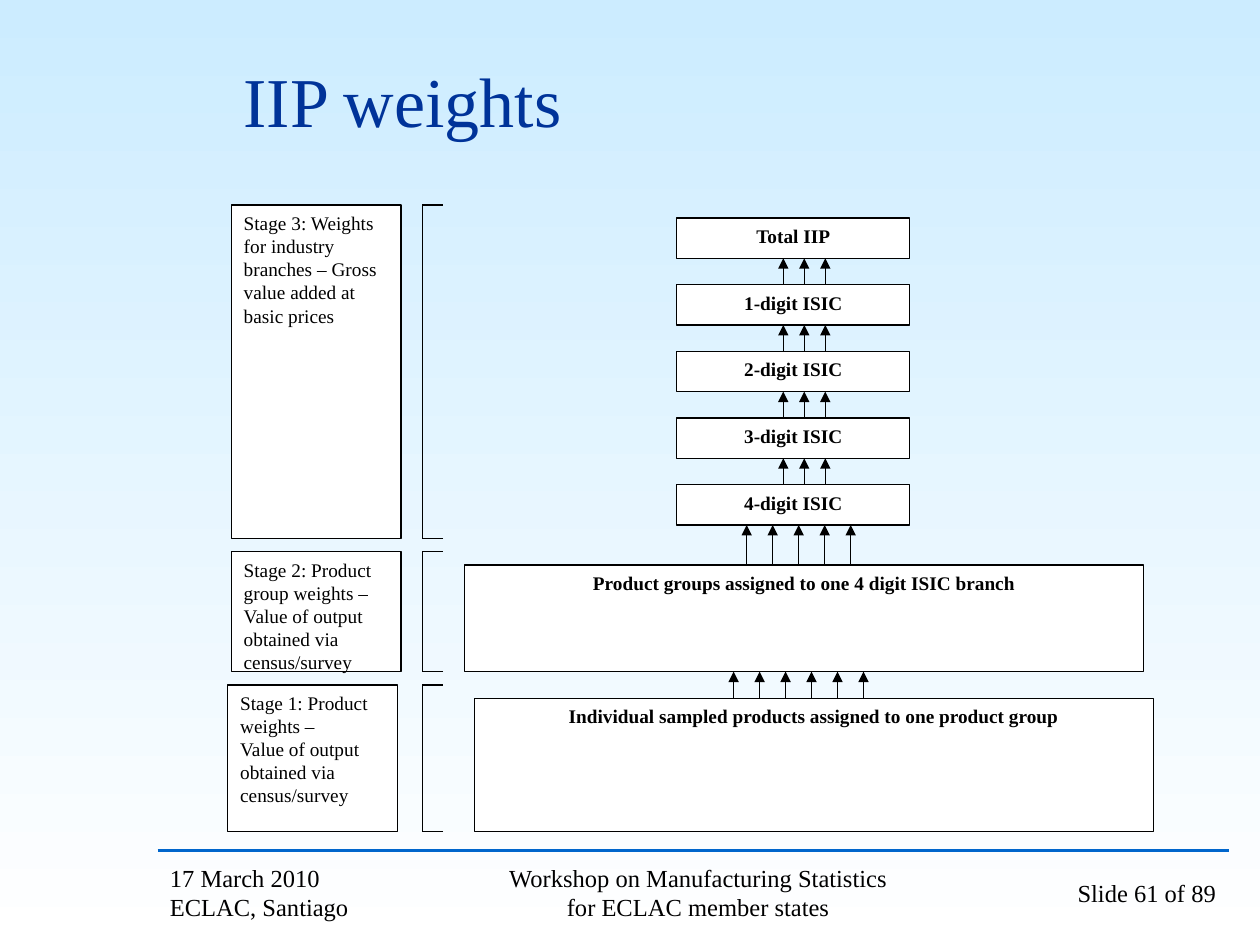
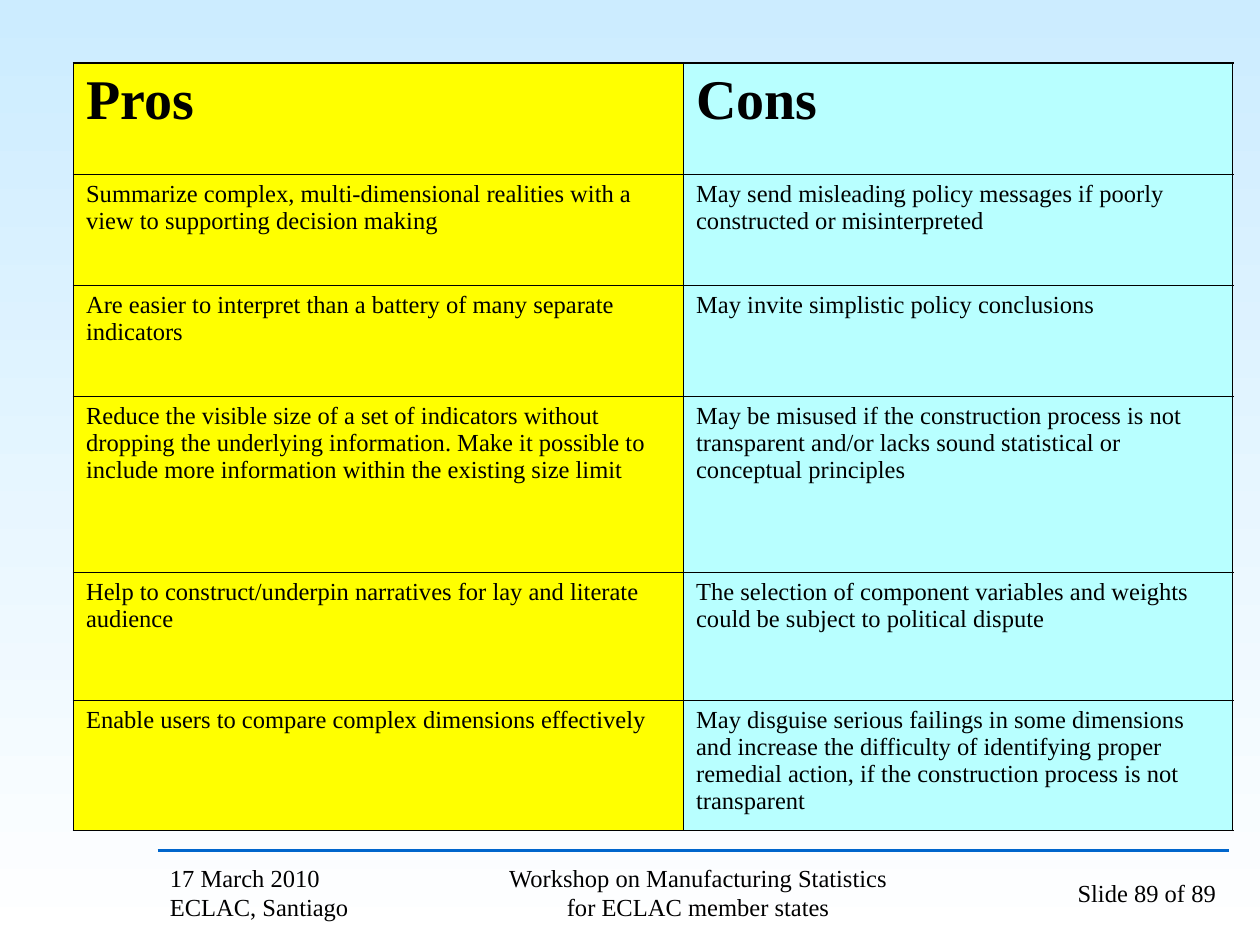
import itertools
from dataclasses import dataclass
from typing import Any, NamedTuple

import lxml.etree
import pptx
import pptx.dml.color
import pptx.enum.shapes
import pptx.enum.text
import pptx.oxml.ns
import pptx.util

Pt = pptx.util.Pt
Align = pptx.enum.text.PP_ALIGN
Anchor = pptx.enum.text.MSO_ANCHOR
qn = pptx.oxml.ns.qn


@dataclass(frozen=True)
class Theme:
    font: str = "Times New Roman"
    sky: str = "CCECFF"
    white: str = "FFFFFF"
    black: str = "000000"
    title: str = "003399"
    rule: str = "0066CC"
    pros: str = "FFFF00"
    cons: str = "B8FFFF"
    title_size: float = 40
    heading_size: float = 32
    body_size: float = 14
    diagram_size: float = 11
    rule_width: float = 1.5
    line_width: float = 0.75
    outer_border: float = 1.08
    inner_border: float = 0.45


THEME = Theme()


class Frame(NamedTuple):
    left: float
    top: float
    width: float
    height: float

    @property
    def bottom(self) -> float:
        return self.top + self.height

    def lengths(self) -> list[Any]:
        return [Pt(value) for value in self]


class Box(NamedTuple):
    frame: Frame
    text: str
    alignment: Any = Align.CENTER
    bold: bool = True


class ArrowRow(NamedTuple):
    first_x: float
    pitch: float
    count: int
    start_y: float
    end_y: float


class FooterItem(NamedTuple):
    frame: Frame
    text: str
    alignment: Any


FOOTER = (
    FooterItem(Frame(90, 492, 150, 36), "17 March 2010 ECLAC, Santiago", Align.LEFT),
    FooterItem(Frame(276, 492, 246, 36),
               "Workshop on Manufacturing Statistics for ECLAC member states", Align.CENTER),
    FooterItem(Frame(552, 492, 150, 36), "Slide {number} of 89", Align.RIGHT),
)

TITLE_FRAME = Frame(132, 12, 564, 90)
LEVELS = ("Total IIP", "1-digit ISIC", "2-digit ISIC", "3-digit ISIC", "4-digit ISIC")
LEVEL_FRAMES = [Frame(386.7, 124.6 + 38.1 * index, 133.2, 23) for index in range(len(LEVELS))]
GROUP_FRAME = Frame(265.5, 322.9, 388, 60.9)
PRODUCT_FRAME = Frame(271, 399.1, 388, 76.1)

STAGES = (
    Box(Frame(132.2, 117.2, 97, 190.4),
        "Stage 3: Weights for industry branches – Gross value added at basic prices",
        Align.LEFT, False),
    Box(Frame(132.2, 315.2, 97, 68.5),
        "Stage 2: Product group weights – Value of output obtained via census/survey",
        Align.LEFT, False),
    Box(Frame(130.2, 391.4, 97, 83.8),
        "Stage 1: Product weights –\nValue of output obtained via census/survey",
        Align.LEFT, False),
)
BRACKET_LEFT, BRACKET_RIGHT = 241.3, 253.3

TABLE_FRAME = Frame(42, 36, 662.4, 438.5)
COLUMN_WIDTHS = (348.6, 313.8)
ROW_HEIGHTS = (63.5, 63.5, 63.5, 100.8, 72.9, 74.3)
TABLE_ROWS = (
    ("Pros", "Cons"),
    ("Summarize complex, multi-dimensional realities with a view to supporting decision making",
     "May send misleading policy messages if poorly constructed or misinterpreted"),
    ("Are easier to interpret than a battery of many separate indicators",
     "May invite simplistic policy conclusions"),
    ("Reduce the visible size of a set of indicators without dropping the underlying "
     "information. Make it possible to include more information within the existing size limit",
     "May be misused if the construction process is not transparent and/or lacks sound "
     "statistical or conceptual principles"),
    ("Help to construct/underpin narratives for lay and literate audience",
     "The selection of component variables and weights could be subject to political dispute"),
    ("Enable users to compare complex dimensions effectively",
     "May disguise serious failings in some dimensions and increase the difficulty of "
     "identifying proper remedial action, if the construction process is not transparent"),
)


def rgb(color: str) -> Any:
    return pptx.dml.color.RGBColor.from_string(color)


def write(text_frame: Any, text: str, size: float, alignment: Any = Align.LEFT,
          color: str = THEME.black, bold: bool = False) -> None:
    text_frame.word_wrap = True
    text_frame.text = text
    for paragraph in text_frame.paragraphs:
        paragraph.alignment = alignment
        for run in paragraph.runs:
            run.font.name = THEME.font
            run.font.size = Pt(size)
            run.font.bold = bold
            run.font.color.rgb = rgb(color)


def draw_line(slide: Any, start: tuple[float, float], end: tuple[float, float],
              color: str = THEME.black, width: float = THEME.line_width,
              arrow: bool = False) -> None:
    connector = slide.shapes.add_connector(
        pptx.enum.shapes.MSO_CONNECTOR.STRAIGHT, *(Pt(value) for value in start + end))
    connector.line.color.rgb = rgb(color)
    connector.line.width = Pt(width)
    properties = connector._element.spPr
    if arrow:
        lxml.etree.SubElement(properties.find(qn("a:ln")), qn("a:tailEnd"), type="triangle")
    lxml.etree.SubElement(properties, qn("a:effectLst"))


def draw_box(slide: Any, box: Box) -> None:
    shape = slide.shapes.add_shape(
        pptx.enum.shapes.MSO_SHAPE.RECTANGLE, *box.frame.lengths())
    shape.shadow.inherit = False
    shape.fill.solid()
    shape.fill.fore_color.rgb = rgb(THEME.white)
    shape.line.color.rgb = rgb(THEME.black)
    shape.line.width = Pt(THEME.line_width)
    shape.text_frame.vertical_anchor = Anchor.TOP
    write(shape.text_frame, box.text, THEME.diagram_size, box.alignment, bold=box.bold)


def draw_arrows(slide: Any, row: ArrowRow) -> None:
    for index in range(row.count):
        x = row.first_x + row.pitch * index
        draw_line(slide, (x, row.start_y), (x, row.end_y), arrow=True)


def draw_bracket(slide: Any, frame: Frame) -> None:
    corners = ((BRACKET_RIGHT, frame.bottom), (BRACKET_LEFT, frame.bottom),
               (BRACKET_LEFT, frame.top), (BRACKET_RIGHT, frame.top))
    for start, end in itertools.pairwise(corners):
        draw_line(slide, start, end)


def draw_footer(slide: Any, number: int) -> None:
    draw_line(slide, (90, 486), (702, 486), THEME.rule, THEME.rule_width)
    for item in FOOTER:
        shape = slide.shapes.add_textbox(*item.frame.lengths())
        shape.text_frame.vertical_anchor = Anchor.MIDDLE
        write(shape.text_frame, item.text.format(number=number), THEME.body_size, item.alignment)


def set_borders(cell: Any, widths: dict[str, float]) -> None:
    properties = cell._tc.get_or_add_tcPr()
    for index, (side, width) in enumerate(widths.items()):
        line = lxml.etree.Element(qn(f"a:ln{side}"), w=str(Pt(width)))
        fill = lxml.etree.SubElement(line, qn("a:solidFill"))
        lxml.etree.SubElement(fill, qn("a:srgbClr"), val=THEME.black)
        properties.insert(index, line)


def border_width(is_outer: bool) -> float:
    return THEME.outer_border if is_outer else THEME.inner_border


def set_background(master: Any) -> None:
    fill = master.background.fill
    fill.gradient()
    fill.gradient_angle = 270
    for stop, color, position in zip(fill.gradient_stops, (THEME.sky, THEME.white), (0, 1)):
        stop.color.rgb = rgb(color)
        stop.position = position


def build_weights_slide(presentation: Any) -> None:
    slide = presentation.slides.add_slide(presentation.slide_layouts[5])
    title = slide.shapes.title
    title.left, title.top, title.width, title.height = TITLE_FRAME.lengths()
    title.text_frame.vertical_anchor = Anchor.MIDDLE
    write(title.text_frame, "IIP weights", THEME.title_size, color=THEME.title)

    draw_footer(slide, 61)
    for stage in STAGES:
        draw_box(slide, stage)
        draw_bracket(slide, stage.frame)
    for frame, level in zip(LEVEL_FRAMES, LEVELS):
        draw_box(slide, Box(frame, level))
    draw_box(slide, Box(GROUP_FRAME, "Product groups assigned to one 4 digit ISIC branch"))
    draw_box(slide, Box(PRODUCT_FRAME, "Individual sampled products assigned to one product group"))

    for upper, lower in itertools.pairwise(LEVEL_FRAMES):
        draw_arrows(slide, ArrowRow(447.6, 12, 3, lower.top, upper.bottom))
    draw_arrows(slide, ArrowRow(426.7, 14.85, 5, GROUP_FRAME.top, LEVEL_FRAMES[-1].bottom))
    draw_arrows(slide, ArrowRow(419.2, 14.85, 6, PRODUCT_FRAME.top, GROUP_FRAME.bottom))


def build_pros_cons_slide(presentation: Any) -> None:
    slide = presentation.slides.add_slide(presentation.slide_layouts[6])
    draw_footer(slide, 89)
    last_row, last_column = len(ROW_HEIGHTS) - 1, len(COLUMN_WIDTHS) - 1
    table = slide.shapes.add_table(
        len(ROW_HEIGHTS), len(COLUMN_WIDTHS), *TABLE_FRAME.lengths()).table
    table.first_row = False
    table.horz_banding = False
    for column, width in zip(table.columns, COLUMN_WIDTHS):
        column.width = Pt(width)
    for row, height in zip(table.rows, ROW_HEIGHTS):
        row.height = Pt(height)
    for row_index, texts in enumerate(TABLE_ROWS):
        is_heading = row_index == 0
        for column_index, (text, color) in enumerate(zip(texts, (THEME.pros, THEME.cons))):
            cell = table.cell(row_index, column_index)
            cell.fill.solid()
            cell.fill.fore_color.rgb = rgb(color)
            write(cell.text_frame, text,
                  THEME.heading_size if is_heading else THEME.body_size, bold=is_heading)
            set_borders(cell, {
                "L": border_width(column_index == 0),
                "R": border_width(column_index == last_column),
                "T": border_width(is_heading),
                "B": border_width(row_index == last_row),
            })


def main() -> None:
    presentation = pptx.Presentation()
    presentation.slide_width, presentation.slide_height = Pt(720), Pt(540)
    set_background(presentation.slide_master)
    build_weights_slide(presentation)
    build_pros_cons_slide(presentation)
    presentation.save("out.pptx")


if __name__ == "__main__":
    main()
